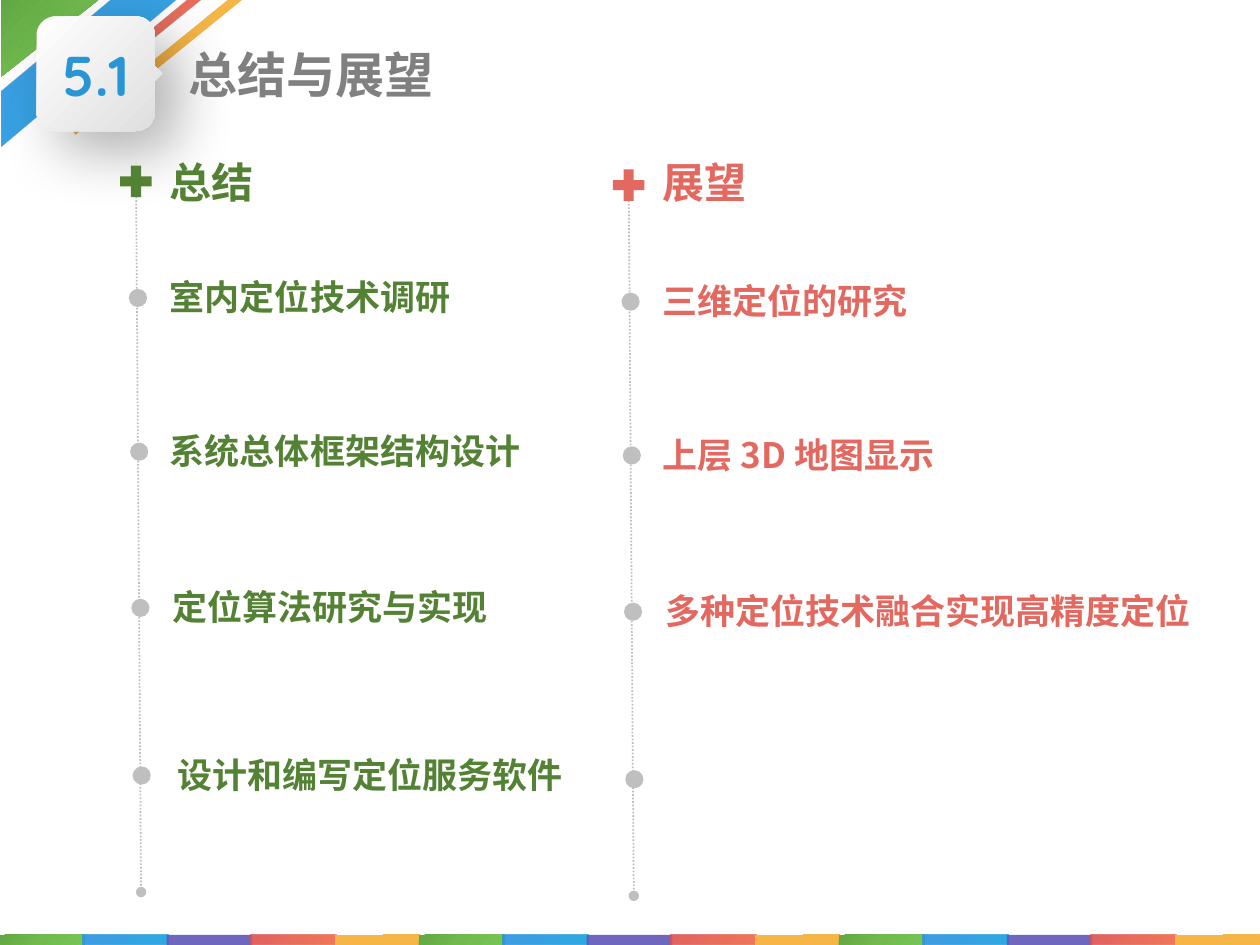
import math
from dataclasses import dataclass

from lxml import etree
from pptx import Presentation
from pptx.dml.color import RGBColor
from pptx.enum import dml, shapes, text
from pptx.oxml import ns
from pptx.util import Inches, Pt


@dataclass(frozen=True)
class Paint:
    stops: tuple[str, ...]
    alpha: int = 100


@dataclass(frozen=True)
class Theme:
    green = Paint(("78C556", "70BA4E", "61A742"))
    blue = Paint(("19A2DF", "2399E0", "2D91E0"), 90)
    purple = Paint(("6057B6", "6057B6"), 90)
    red = Paint(("F06A48", "E65F4D", "DC5153"), 90)
    yellow = Paint(("F5B647", "F5B547", "F5B547"))
    card = Paint(("FFFFFF", "DEDEDE"))
    number: str = "2995D4"
    title: str = "808080"
    summary: str = "548235"
    outlook: str = "E36860"
    rail: str = "BFBFBF"
    cjk: str = "Noto Sans CJK SC"
    latin: str = "Quicksand"
    number_size: int = 32
    title_size: int = 28
    heading_size: int = 24
    item_size: int = 20


@dataclass(frozen=True)
class Item:
    words: str
    left: float
    width: float
    height: float


@dataclass(frozen=True)
class Column:
    heading: str
    color: str
    left: float
    top: float
    items: tuple[Item, ...]


@dataclass(frozen=True)
class Band:
    paint: Paint
    corners: tuple[tuple[float, float], ...]


THEME = Theme()
STRIP = (THEME.green, THEME.blue, THEME.purple, THEME.red, THEME.yellow)
BANDS = (
    Band(THEME.blue, ((0.01, 1.16), (1.4, 0), (0.88, 0), (0.01, 0.72))),
    Band(THEME.red, ((0.72, 0.71), (1.6, 0), (1.49, 0), (0.68, 0.66))),
    Band(THEME.yellow, ((0.6, 1.07), (1.92, 0), (1.81, 0), (0.56, 1.01))),
)
DOT_TOPS = (1.03, 2.25, 3.49, 4.82)
COLUMNS = (
    Column("总结", THEME.summary, 0.91, 1.27, (
        Item("室内定位技术调研", 1.25, 4.24, 0.72),
        Item("系统总体框架结构设计", 1.25, 4.56, 0.72),
        Item("定位算法研究与实现", 1.27, 4.73, 0.72),
        Item("设计和编写定位服务软件", 1.31, 3.83, 0.72),
    )),
    Column("展望", THEME.outlook, 4.82, 1.3, (
        Item("三维定位的研究", 5.16, 3.32, 0.44),
        Item("上层 3D 地图显示", 5.16, 3.57, 0.44),
        Item("多种定位技术融合实现高精度定位", 5.18, 4.41, 0.72),
    )),
)


def add_xml(parent, tag: str, **attributes):
    values = {name: str(value) for name, value in attributes.items()}
    return etree.SubElement(parent, ns.qn(f"a:{tag}"), values)


def paint_gradient(shape, paint: Paint, radial: bool = True) -> None:
    shape.fill.background()
    blank = shape.element.spPr.find(ns.qn("a:noFill"))
    gradient = etree.Element(ns.qn("a:gradFill"), rotWithShape="1")
    stops = add_xml(gradient, "gsLst")
    for i, color in enumerate(paint.stops):
        stop = add_xml(stops, "gs", pos=100000 * i // (len(paint.stops) - 1))
        tone = add_xml(stop, "srgbClr", val=color)
        if paint.alpha < 100:
            add_xml(tone, "alpha", val=paint.alpha * 1000)
    if radial:
        path = add_xml(gradient, "path", path="circle")
        add_xml(path, "fillToRect", l=100000, t=100000)
    else:
        add_xml(gradient, "lin", ang=45 * 60000, scaled=0)
    blank.getparent().replace(blank, gradient)


def add_preset(slide, kind, left: float, top: float, width: float, height: float):
    shape = slide.shapes.add_shape(
        kind, Inches(left), Inches(top), Inches(width), Inches(height))
    shape.shadow.inherit = False
    shape.line.fill.background()
    return shape


def add_outline(slide, corners):
    points = [(Inches(x), Inches(y)) for x, y in corners]
    builder = slide.shapes.build_freeform(*points[0])
    builder.add_line_segments(points[1:], close=True)
    outline = builder.convert_to_shape()
    outline.shadow.inherit = False
    outline.line.fill.background()
    return outline


def write(frame, words: str, size: int, color: str, font: str) -> None:
    run = frame.paragraphs[0].add_run()
    run.text = words
    run.font.size = Pt(size)
    run.font.bold = True
    run.font.name = font
    run.font.color.rgb = RGBColor.from_string(color)
    add_xml(run.font._element, "ea", typeface=font)


def add_label(slide, words: str, left: float, top: float, width: float,
              height: float, size: int, color: str):
    label = slide.shapes.add_textbox(
        Inches(left), Inches(top), Inches(width), Inches(height))
    label.text_frame.word_wrap = True
    write(label.text_frame, words, size, color, THEME.cjk)
    return label


def card_corners(left: float, top: float, right: float, bottom: float,
                 radius: float) -> list[tuple[float, float]]:
    def arc(x: float, y: float, start: int):
        angles = [math.radians(start + step) for step in range(0, 91, 10)]
        return [(x + radius * math.cos(a), y + radius * math.sin(a)) for a in angles]

    near, far = left + radius, right - radius
    high, low = top + radius, bottom - radius
    middle = (top + bottom) / 2
    pointer = [(right, middle - 0.06), (right + 0.06, middle), (right, middle + 0.06)]
    return (arc(near, high, 180) + arc(far, high, 270) + pointer
            + arc(far, low, 0) + arc(near, low, 90))


def add_header(slide) -> None:
    corner = add_preset(slide, shapes.MSO_SHAPE.RIGHT_TRIANGLE, 0.01, 0, 0.77, 0.61)
    corner.element.spPr.xfrm.set("flipV", "1")
    paint_gradient(corner, THEME.green)
    for band in BANDS:
        paint_gradient(add_outline(slide, band.corners), band.paint)

    card = add_outline(slide, card_corners(0.29, 0.13, 1.23, 1.04, 0.15))
    paint_gradient(card, THEME.card, radial=False)
    effects = card.element.spPr.find(ns.qn("a:effectLst"))
    shadow = add_xml(effects, "outerShdw", blurRad=Pt(34), dist=Pt(17),
                     dir=45 * 60000, algn="tl", rotWithShape=0)
    add_xml(add_xml(shadow, "srgbClr", val="000000"), "alpha", val=30000)

    number = add_preset(slide, shapes.MSO_SHAPE.ROUNDED_RECTANGLE, 0.32, 0.24, 0.88, 0.7)
    number.fill.background()
    number.text_frame.word_wrap = False
    number.text_frame.vertical_anchor = text.MSO_ANCHOR.MIDDLE
    number.text_frame.paragraphs[0].alignment = text.PP_ALIGN.CENTER
    write(number.text_frame, "5.1", THEME.number_size, THEME.number, THEME.latin)
    title = add_label(slide, "总结与展望", 1.4, 0.3, 4.99, 0.57,
                      THEME.title_size, THEME.title)
    title.text_frame.vertical_anchor = text.MSO_ANCHOR.MIDDLE


def add_strip(slide) -> None:
    for i in range(3 * len(STRIP)):
        tile = add_preset(slide, shapes.MSO_SHAPE.RECTANGLE,
                          i * 2 / 3 - 0.01, 7.42, 0.68, 0.08)
        paint_gradient(tile, STRIP[i % len(STRIP)])


def add_column(slide, column: Column) -> None:
    gray = RGBColor.from_string(THEME.rail)
    rail = slide.shapes.add_connector(
        shapes.MSO_CONNECTOR.STRAIGHT,
        Inches(column.left + 0.17), Inches(column.top + 0.2),
        Inches(column.left + 0.21), Inches(column.top + 5.81))
    rail.line.color.rgb = gray
    rail.line.width = Pt(1)
    rail.line.dash_style = dml.MSO_LINE.ROUND_DOT
    for end in ("headEnd", "tailEnd"):
        add_xml(rail.element.spPr.find(ns.qn("a:ln")), end, type="oval")
    add_xml(rail.element.spPr, "effectLst")

    plus = add_preset(slide, shapes.MSO_SHAPE.MATH_PLUS,
                      column.left, column.top, 0.34, 0.34)
    plus.fill.solid()
    plus.fill.fore_color.rgb = RGBColor.from_string(column.color)
    add_label(slide, column.heading, column.left + 0.34, 1.19, 3.19, 0.5,
              THEME.heading_size, column.color)
    for i, offset in enumerate(DOT_TOPS):
        dot = add_preset(slide, shapes.MSO_SHAPE.OVAL, column.left + 0.12 + 0.01 * i,
                         column.top + offset, 0.13, 0.13)
        dot.fill.solid()
        dot.fill.fore_color.rgb = gray
        dot.line.color.rgb = gray
        dot.line.width = Pt(1)
    for item, offset in zip(column.items, DOT_TOPS):
        add_label(slide, item.words, item.left, column.top + offset - 0.16,
                  item.width, item.height, THEME.item_size, column.color)


def main() -> None:
    deck = Presentation()
    deck.slide_width, deck.slide_height = Inches(10), Inches(7.5)
    slide = deck.slides.add_slide(deck.slide_layouts[6])
    add_header(slide)
    add_strip(slide)
    for column in COLUMNS:
        add_column(slide, column)
    deck.save("out.pptx")


if __name__ == "__main__":
    main()
